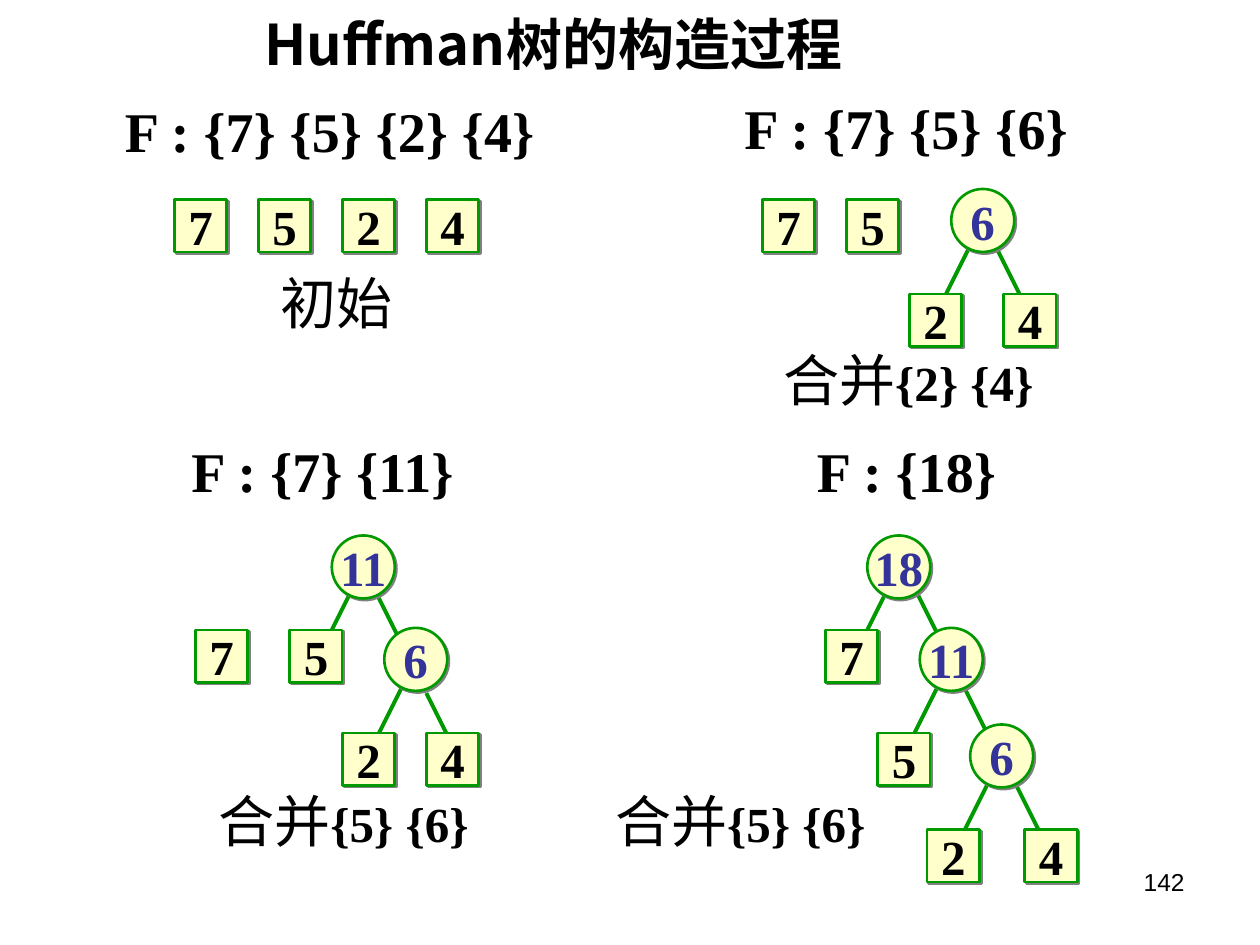
from lxml.etree import SubElement
from pptx import Presentation
from pptx.dml.color import RGBColor
from pptx.enum.shapes import MSO_CONNECTOR as Connector, MSO_SHAPE as Shape
from pptx.enum.text import MSO_ANCHOR as Anchor, PP_ALIGN as Align
from pptx.oxml.ns import qn
from pptx.util import Emu, Inches, Pt

BLACK = RGBColor(0x00, 0x00, 0x00)
INDIGO = RGBColor(0x33, 0x33, 0x99)
GREEN = RGBColor(0x00, 0x99, 0x00)
CREAM = RGBColor(0xFF, 0xFF, 0xCC)
GREY = RGBColor(0x80, 0x80, 0x80)

SERIF, SANS, CJK = "Times New Roman", "Arial", "Noto Sans CJK JP"


class TreeSlide:
    """Draws on a grid of 120 columns by 90 rows."""

    LEAF, CIRCLE = 5, 6      # node sizes in grid units
    ORIGIN = 0.6             # column where the node grid starts
    TEXT_ROWS = 7.7

    def __init__(self, prs):
        self.slide = prs.slides.add_slide(prs.slide_layouts[6])
        self.shapes = self.slide.shapes
        self.unit = prs.slide_width / 120

    def grid(self, *lengths):
        return [Emu(round(length * self.unit)) for length in lengths]

    def style(self, font, size, bold=False, color=BLACK, name=SERIF):
        font.size, font.bold, font.name = Pt(size), bold, name
        font.color.rgb = color

    def set_east_asian(self, paragraph):
        for latin in list(paragraph._p.iter(qn("a:latin"))):
            east_asian = SubElement(latin.getparent(), qn("a:ea"))
            east_asian.set("typeface", CJK)
            latin.addnext(east_asian)

    def text(self, content, col, row, cols, size=32, bold=False, name=SERIF,
             align=Align.CENTER, anchor=Anchor.TOP, wrap=False):
        """Content is a string, or a list of (text, size, bold) runs."""
        box = self.shapes.add_textbox(*self.grid(col, row, cols, self.TEXT_ROWS))
        frame = box.text_frame
        frame.word_wrap, frame.vertical_anchor = wrap, anchor
        paragraph = frame.paragraphs[0]
        paragraph.alignment = align
        if isinstance(content, str):
            paragraph.text = content
            self.style(paragraph.font, size, bold, name=name)
        else:
            for words, run_size, run_bold in content:
                run = paragraph.add_run()
                run.text = words
                self.style(run.font, run_size, run_bold, name=name)
        self.set_east_asian(paragraph)

    def label(self, content, center, row, cols, bold=False):
        self.text(content, center - cols / 2, row, cols, bold=bold,
                  anchor=Anchor.MIDDLE)

    def node(self, kind, size, value, col, row, color):
        node = self.shapes.add_shape(
            kind, *self.grid(col + self.ORIGIN, row, size, size))
        node.fill.solid()
        node.fill.fore_color.rgb = CREAM
        node.line.color.rgb, node.line.width = GREEN, Pt(1.5)
        # Hard grey shadow towards the lower right
        node.shadow.inherit = False
        effects = node._element.spPr.find(qn("a:effectLst"))
        shadow = SubElement(effects, qn("a:outerShdw"), dist=str(Pt(1.4)),
                            dir="2700000", algn="ctr", rotWithShape="0")
        SubElement(shadow, qn("a:srgbClr"), val=str(GREY))
        frame = node.text_frame
        frame.margin_left = frame.margin_right = 0
        frame.margin_top = frame.margin_bottom = 0
        frame.word_wrap, frame.vertical_anchor = False, Anchor.MIDDLE
        paragraph = frame.paragraphs[0]
        paragraph.text, paragraph.alignment = str(value), Align.CENTER
        self.style(paragraph.font, 28, True, color)

    def leaf(self, value, col, row):
        self.node(Shape.RECTANGLE, self.LEAF, value, col, row, BLACK)

    def parent(self, value, col, row, right_drop=0):
        """A circle with an edge to each of its two children."""
        center = col + self.ORIGIN + self.CIRCLE / 2
        for side, drop in ((-1, 0), (1, right_drop)):
            top = row + self.CIRCLE / 2 + 2 + drop
            self.edge(center + side, top, center + 4 * side, top + 6)
        self.node(Shape.OVAL, self.CIRCLE, value, col, row, INDIGO)

    def edge(self, *ends):
        edge = self.shapes.add_connector(Connector.STRAIGHT, *self.grid(*ends))
        edge.line.color.rgb, edge.line.width = GREEN, Pt(2.25)
        SubElement(edge._element.spPr, qn("a:effectLst"))

    def stage(self, forest, caption, parents, leaves):
        """One step: the forest, its trees from the top down, a caption."""
        self.label(*forest, bold=True)
        for parent in parents:
            self.parent(*parent)
        for leaf in leaves:
            self.leaf(*leaf)
        self.label(*caption)


def merging(pair):
    return [("合并", 32, False), (pair, 28, True)]


def main():
    prs = Presentation()
    prs.slide_width, prs.slide_height = Inches(10), Inches(7.5)
    slide = TreeSlide(prs)

    # Title and page number
    slide.text("Huffman树的构造过程", 24, 0.3, 63, bold=True, name=CJK,
               align=Align.LEFT, wrap=True)
    slide.text("142", 86, 82, 28, size=14, name=SANS, align=Align.RIGHT,
               wrap=True)

    # Start: four single nodes
    slide.stage(("F : {7} {5} {2} {4}", 31.4, 8.5, 42),
                ("初始", 32.1, 24.9, 15),
                [],
                [(value, 16 + 8 * i, 19) for i, value in enumerate((7, 5, 2, 4))])

    # First merge: 2 and 4
    slide.stage(("F : {7} {5} {6}", 86.3, 8.3, 34),
                (merging("{2} {4}"), 86.5, 32.3, 28),
                [(6, 90, 18)],
                [(7, 72, 19), (5, 80, 19), (2, 86, 28), (4, 95, 28)])

    # Second merge: 5 and 6
    slide.stage(("F : {7} {11} ", 31.4, 40.9, 30),
                (merging("{5} {6}"), 32.7, 74.3, 28),
                [(11, 31, 51), (6, 36, 59.8, 1.2)],
                [(7, 18, 60), (5, 27, 60), (2, 32, 69.8), (4, 40, 69.8)])

    # Last merge: the whole tree
    slide.stage(("F : {18} ", 87, 40.9, 22),
                (merging("{5} {6}"), 70.5, 74.3, 28),
                [(18, 82, 51, -1), (11, 87, 59.8, 0.2), (6, 91.8, 69)],
                [(7, 78, 60), (5, 83, 69.8), (2, 87.7, 79), (4, 97, 79)])

    prs.save("out.pptx")


if __name__ == "__main__":
    main()
